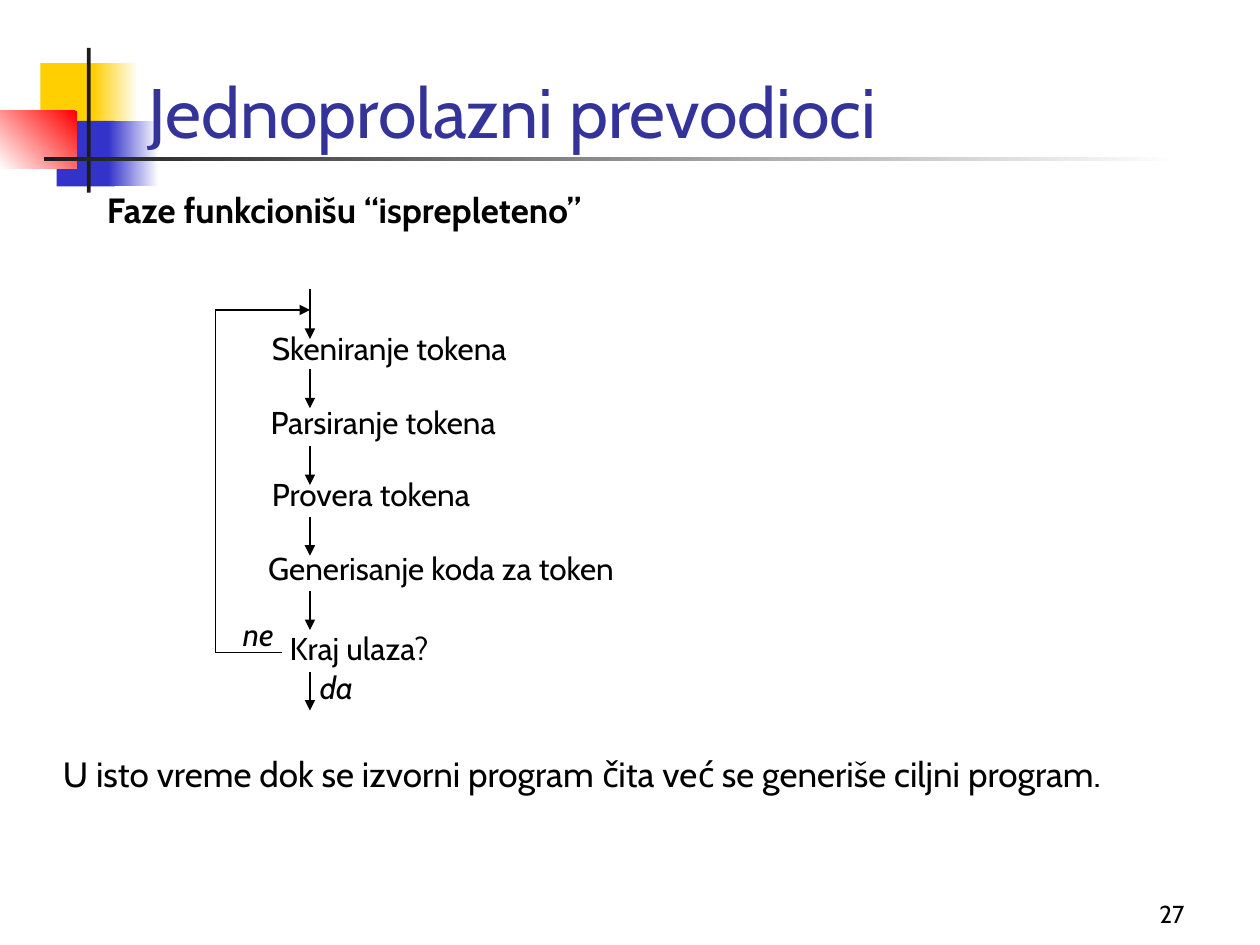
import pptx
import pptx.dml.color
import pptx.enum.shapes
import pptx.enum.text
import pptx.oxml
import pptx.oxml.ns
import pptx.util
from lxml import etree

Inches = pptx.util.Inches
RGBColor = pptx.dml.color.RGBColor
Align = pptx.enum.text.PP_ALIGN
Anchor = pptx.enum.text.MSO_ANCHOR

WHITE = RGBColor(0xFF, 0xFF, 0xFF)
BLACK = RGBColor(0, 0, 0)
YELLOW = RGBColor(0xFF, 0xCF, 0x01)
BLUE = RGBColor(0x33, 0x33, 0xCC)
RED = RGBColor(0xFF, 0, 0)
CHARCOAL = RGBColor(0x1C, 0x1C, 0x1C)
TITLE_BLUE = RGBColor(0x33, 0x33, 0x99)


class SlideBuilder:
    font_name = "Cabin"
    line_width = pptx.util.Pt(0.75)

    def __init__(self, slide):
        self.slide = slide

    def block(self, left, top, width, height, color, end_color=None, angle=180):
        block = self.slide.shapes.add_shape(
            pptx.enum.shapes.MSO_SHAPE.RECTANGLE,
            Inches(left), Inches(top), Inches(width), Inches(height))
        block.shadow.inherit = False
        block.line.fill.background()
        if end_color is None:
            block.fill.solid()
            block.fill.fore_color.rgb = color
        else:
            block.fill.gradient()
            block.fill.gradient_angle = angle
            for stop, stop_color in zip(block.fill.gradient_stops, (color, end_color)):
                stop.color.rgb = stop_color

    def set_text(self, frame, words, size, color=BLACK, align=Align.LEFT,
                 anchor=Anchor.TOP, bold=False, italic=False):
        frame.text = words
        frame.word_wrap = True
        frame.auto_size = pptx.enum.text.MSO_AUTO_SIZE.NONE
        frame.vertical_anchor = anchor
        paragraph = frame.paragraphs[0]
        paragraph.alignment = align
        font = paragraph.runs[0].font
        font.name = self.font_name
        font.size = pptx.util.Pt(size)
        font.color.rgb = color
        font.bold = bold
        font.italic = italic

    def title(self, words, left, top, width, height):
        title = self.slide.shapes.title
        title.left, title.top = Inches(left), Inches(top)
        title.width, title.height = Inches(width), Inches(height)
        self.set_text(title.text_frame, words, 40, TITLE_BLUE, anchor=Anchor.BOTTOM)
        # Bring the title in front of the decoration
        title._element.getparent().append(title._element)

    def text(self, words, left, top, width, height=0.4, size=18, **style):
        box = self.slide.shapes.add_textbox(
            Inches(left), Inches(top), Inches(width), Inches(height))
        self.set_text(box.text_frame, words, size, **style)

    def line(self, x1, y1, x2, y2, arrow=False):
        line = self.slide.shapes.add_connector(
            pptx.enum.shapes.MSO_CONNECTOR.STRAIGHT,
            Inches(x1), Inches(y1), Inches(x2), Inches(y2))
        line.line.width = self.line_width
        line.line.color.rgb = BLACK
        if arrow:
            head = etree.SubElement(line.line._get_or_add_ln(),
                                    pptx.oxml.ns.qn("a:tailEnd"))
            head.set("type", "triangle")
        etree.SubElement(line._element.spPr, pptx.oxml.ns.qn("a:effectLst"))


def main():
    deck = pptx.Presentation()
    deck.slide_width, deck.slide_height = Inches(10), Inches(7.5)
    page = SlideBuilder(deck.slides.add_slide(deck.slide_layouts[5]))

    # Corner decoration and title rule
    page.block(0.32, 0.5, 0.48, 0.52, YELLOW)
    page.block(0.74, 0.5, 0.36, 0.52, WHITE, YELLOW)
    page.block(0.45, 0.96, 0.46, 0.52, BLUE)
    page.block(0.86, 0.96, 0.4, 0.52, WHITE, BLUE)
    page.block(0, 0.88, 0.61, 0.46, RED, WHITE, angle=225)
    page.block(0.69, 0.38, 0.03, 1.15, CHARCOAL)
    page.block(0.35, 1.25, 9, 0.03, WHITE, CHARCOAL)

    # Title and opening statement
    page.title("Jednoprolazni prevodioci", 1.08, 0, 8.52, 1.26)
    page.text("Faze funkcionišu “isprepleteno”", 0.75, 1.45, 4.6, 0.44, 20, bold=True)

    # Compiler phases
    phases = [
        ("Skeniranje tokena", 2.06, 2.56, 2.31),
        ("Parsiranje tokena", 2.05, 3.15, 2.26),
        ("Provera tokena", 2.06, 3.72, 1.99),
        ("Generisanje koda za token", 2.03, 4.31, 3.31),
        ("Kraj ulaza?", 2.2, 4.94, 1.45),
    ]
    for phase in phases:
        page.text(*phase)

    # Downward flow
    flow_x, loop_x = 2.46, 1.71
    loop_top, loop_bottom = 2.46, 5.18
    page.line(flow_x, 2.29, flow_x, 2.69, arrow=True)
    for start in (2.93, 3.54, 4.1, 4.69, 5.33):
        page.line(flow_x, start, flow_x, start + 0.31, arrow=True)

    # Loop back to scanning
    page.line(2.24, loop_bottom, loop_x, loop_bottom)
    page.line(loop_x, loop_bottom, loop_x, loop_top)
    page.line(loop_x, loop_top, flow_x, loop_top, arrow=True)

    # Conclusion, branch labels and page number
    page.text("U isto vreme dok se izvorni program čita već se generiše ciljni program.",
              0.4, 5.92, 9.52, 0.44, 20)
    page.text("ne", 1.83, 4.83, 0.47, italic=True)
    page.text("da", 2.44, 5.25, 0.48, italic=True)
    page.text("27", 8.42, 6.92, 1.08, 0.5, 14, align=Align.RIGHT, anchor=Anchor.BOTTOM)

    deck.save("out.pptx")


if __name__ == "__main__":
    main()
